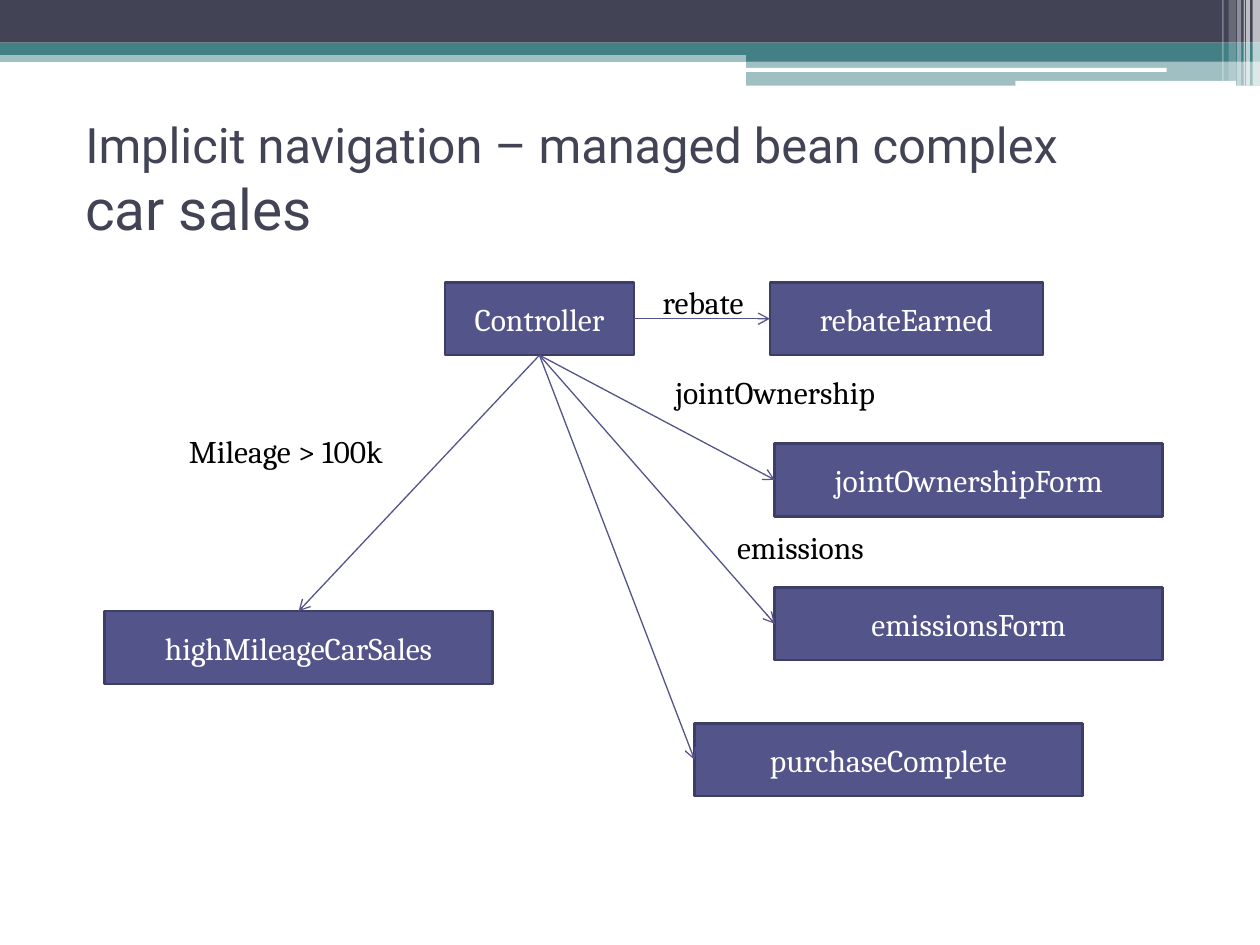
from dataclasses import dataclass

from lxml import etree
from pptx import Presentation
from pptx.dml.color import RGBColor
from pptx.enum.shapes import MSO_CONNECTOR, MSO_SHAPE
from pptx.enum.text import MSO_ANCHOR, MSO_AUTO_SIZE, PP_ALIGN
from pptx.oxml.ns import qn
from pptx.util import Cm, Pt

RECTANGLE, ROUNDED = MSO_SHAPE.RECTANGLE, MSO_SHAPE.ROUNDED_RECTANGLE
STRAIGHT = MSO_CONNECTOR.STRAIGHT
MIDDLE, CENTER = MSO_ANCHOR.MIDDLE, PP_ALIGN.CENTER
FIT_SHAPE = MSO_AUTO_SIZE.SHAPE_TO_FIT_TEXT
TOP, LEFT, BOTTOM, RIGHT = range(4)  # connection sites of a rectangle

COLORS = {
    "dark": "424456", "teal": "438086", "white": "FFFFFF", "black": "000000",
    "box": "53548A", "border": "3D3E66",
}
BOX_FONT = {"name": "Cambria", "size": Pt(18), "color": "white"}
LABEL_FONT = {"name": "Cambria", "size": Pt(18), "color": "black"}
TITLE_FONT = {"name": "Roboto", "color": "dark"}
BOX_HEIGHT, LABEL_HEIGHT = 1.47, 1.02


@dataclass
class Band:
    left: float
    top: float
    width: float
    height: float
    color: str
    opacity: int = 100
    kind: int = RECTANGLE


@dataclass
class Item:
    text: str
    left: float
    top: float
    width: float


@dataclass
class Arrow:
    target: str
    start_site: int
    end_site: int


# Header bands, then the translucent stripes at the right edge
BANDS = [
    Band(0, 1.02, 25.4, 0.23, "teal", 50),
    Band(0, 0, 25.4, 0.86, "dark"),
    Band(0, 0.86, 25.4, 0.25, "teal"),
    Band(15.04, 0.99, 10.36, 0.25, "teal"),
    Band(15.04, 1.22, 10.36, 0.51, "teal", 50),
    Band(15.01, 1.37, 8.51, 0.08, "white", kind=ROUNDED),
    Band(20.47, 1.63, 4.45, 0.1, "white", kind=ROUNDED),
    Band(25.25, 0, 0.15, 1.73, "white", 65),
    Band(25.12, 0, 0.08, 1.73, "white", 65),
    Band(25.07, 0, 0.03, 1.73, "white", 60),
    Band(24.94, 0, 0.08, 1.73, "white", 40),
    Band(24.77, 0, 0.15, 1.63, "white", 20),
    Band(24.64, 0, 0.03, 1.63, "white", 30),
]
TITLE_LINES = [("Implicit navigation – managed bean complex", 27.9), ("car sales", 32.4)]
BOXES = [
    Item("Controller", 8.97, 5.69, 3.81),
    Item("rebateEarned", 15.52, 5.69, 5.51),
    Item("jointOwnershipForm", 15.62, 8.94, 7.82),
    Item("emissionsForm", 15.62, 11.84, 7.82),
    Item("purchaseComplete", 14, 14.58, 7.82),
    Item("highMileageCarSales", 2.11, 12.32, 7.82),
]
LABELS = [
    Item("rebate", 13.11, 5.59, 2.31),
    Item("jointOwnership", 13.36, 7.39, 4.93),
    Item("emissions", 14.61, 10.52, 3.33),
    Item("Mileage > 100k", 3.56, 8.59, 4.88),
]
ARROWS = [
    Arrow("rebateEarned", RIGHT, LEFT),
    Arrow("jointOwnershipForm", BOTTOM, LEFT),
    Arrow("emissionsForm", BOTTOM, LEFT),
    Arrow("purchaseComplete", BOTTOM, LEFT),
    Arrow("highMileageCarSales", BOTTOM, TOP),
]


def rgb(color: str) -> RGBColor:
    return RGBColor.from_string(COLORS[color])


def format_font(font, values: dict) -> None:
    for name, value in values.items():
        if name == "color":
            font.color.rgb = rgb(value)
        else:
            setattr(font, name, value)


def add_filled(slide, kind: int, bounds: tuple, color: str):
    shape = slide.shapes.add_shape(kind, *map(Cm, bounds))
    shape.shadow.inherit = False
    shape.fill.solid()
    shape.fill.fore_color.rgb = rgb(color)
    return shape


def add_band(slide, band: Band) -> None:
    bounds = (band.left, band.top, band.width, band.height)
    shape = add_filled(slide, band.kind, bounds, band.color)
    shape.line.fill.background()
    if band.opacity < 100:
        color = shape.fill._xPr.find(".//" + qn("a:srgbClr"))
        etree.SubElement(color, qn("a:alpha"), val=str(band.opacity * 1000))


def add_title(slide) -> None:
    title = slide.shapes.add_textbox(Cm(1.47), Cm(2.11), Cm(22.86), Cm(2.97))
    frame = title.text_frame
    frame.word_wrap = True
    frame.vertical_anchor = MIDDLE
    paragraph = frame.paragraphs[0]
    for index, (text, size) in enumerate(TITLE_LINES):
        if index:
            paragraph.add_line_break()
        run = paragraph.add_run()
        run.text = text
        format_font(run.font, {**TITLE_FONT, "size": Pt(size)})


def add_box(slide, item: Item):
    shape = add_filled(slide, RECTANGLE, (item.left, item.top, item.width, BOX_HEIGHT), "box")
    shape.line.color.rgb = rgb("border")
    shape.line.width = Pt(1.5)
    shape.text_frame.vertical_anchor = MIDDLE
    paragraph = shape.text_frame.paragraphs[0]
    paragraph.text = item.text
    paragraph.alignment = CENTER
    format_font(paragraph.font, BOX_FONT)
    return shape


def add_label(slide, item: Item) -> None:
    bounds = (item.left, item.top, item.width, LABEL_HEIGHT)
    frame = slide.shapes.add_textbox(*map(Cm, bounds)).text_frame
    frame.word_wrap = False
    frame.auto_size = FIT_SHAPE
    paragraph = frame.paragraphs[0]
    paragraph.text = item.text
    format_font(paragraph.font, LABEL_FONT)


def add_arrow(slide, boxes: dict, arrow: Arrow) -> None:
    connector = slide.shapes.add_connector(STRAIGHT, 0, 0, 0, 0)
    connector.begin_connect(boxes["Controller"], arrow.start_site)
    connector.end_connect(boxes[arrow.target], arrow.end_site)
    connector.line.color.rgb = rgb("box")
    connector.line.width = Pt(0.75)
    etree.SubElement(connector.line._get_or_add_ln(), qn("a:tailEnd"), type="arrow")
    etree.SubElement(connector._element.spPr, qn("a:effectLst"))


def main() -> None:
    presentation = Presentation()
    presentation.slide_width, presentation.slide_height = Cm(25.4), Cm(19.05)
    slide = presentation.slides.add_slide(presentation.slide_layouts[6])

    # Header and title
    for band in BANDS:
        add_band(slide, band)
    add_title(slide)

    # Navigation diagram
    boxes = {item.text: add_box(slide, item) for item in BOXES}
    for arrow in ARROWS:
        add_arrow(slide, boxes, arrow)
    for item in LABELS:
        add_label(slide, item)

    presentation.save("out.pptx")


if __name__ == "__main__":
    main()
